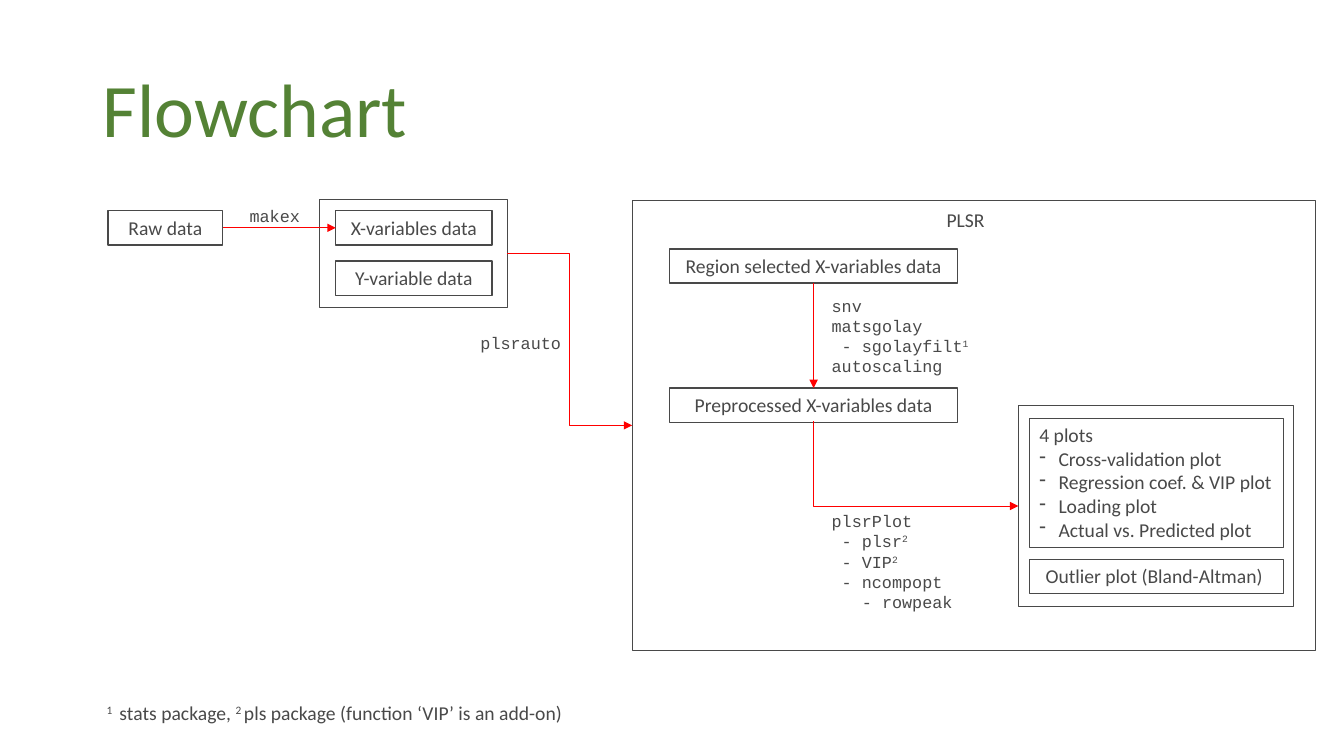
from lxml import etree
from pptx import Presentation
from pptx import util as u
from pptx.dml.color import RGBColor
from pptx.enum import shapes, text
from pptx.oxml.ns import qn

COLORS = {"ink": "494949", "title": "548235", "arrow": "FF0000", "box": "FFFFFF"}
BODY, CODE = "Calibri", "Courier New"
LEFT, CENTER = text.PP_ALIGN.LEFT, text.PP_ALIGN.CENTER
ROW = 0.34  # height of a box with one line of text


def color(name):
    """Return the named colour."""
    return RGBColor.from_string(COLORS[name])


def inches(*values):
    """Convert numbers to lengths."""
    return [u.Inches(value) for value in values]


def write(shape, lines, font=BODY, size=14, ink="ink", align=LEFT,
          anchor=text.MSO_ANCHOR.TOP, grow=True, spacing=None):
    """Fill a shape with lines: (words, indent, bullet), or words alone.

    Every second piece between carets is superscript.
    """
    frame = shape.text_frame
    frame.word_wrap = True
    frame.vertical_anchor = anchor
    fit = text.MSO_AUTO_SIZE
    frame.auto_size = fit.SHAPE_TO_FIT_TEXT if grow else fit.NONE
    for index, line in enumerate(lines):
        words, indent, bullet = (line, 0, None) if isinstance(line, str) else line
        paragraph = frame.add_paragraph() if index else frame.paragraphs[0]
        paragraph.alignment = align
        if spacing:
            paragraph.line_spacing = spacing
        properties = paragraph._p.get_or_add_pPr()
        if indent:
            properties.set("marL", str(u.Inches(indent)))
        if bullet:
            properties.set("indent", str(-u.Inches(indent)))
            etree.SubElement(properties, qn("a:buChar"), char=bullet)
        for position, piece in enumerate(words.split("^")):
            if not piece:
                continue
            run = paragraph.add_run()
            run.text = piece
            run.font.name, run.font.size = font, u.Pt(size)
            run.font.color.rgb = color(ink)
            if position % 2:
                run.font._element.set("baseline", "30000")


class Flowchart:
    """Holds the slide and the style of its elements."""

    def __init__(self, slide):
        """Keep the slide to draw on."""
        self.shapes = slide.shapes

    def box(self, left, top, width, height=ROW, lines=(), line=1, fill="box",
            align=CENTER):
        """Add a rectangle; no line when line is None, no fill when fill is None."""
        shape = self.shapes.add_shape(shapes.MSO_SHAPE.RECTANGLE,
                                      *inches(left, top, width, height))
        shape.shadow.inherit = False
        if fill:
            shape.fill.solid()
            shape.fill.fore_color.rgb = color(fill)
        else:
            shape.fill.background()
        if line:
            shape.line.color.rgb = color("ink")
            shape.line.width = u.Pt(line)
        else:
            shape.line.fill.background()
        if lines:
            write(shape, lines, align=align)

    def frame(self, left, top, width, height):
        """Add a thin outline around a group of boxes."""
        self.box(left, top, width, height, line=0.25, fill=None)

    def label(self, left, top, width, height, lines, **style):
        """Add a text box."""
        shape = self.shapes.add_textbox(*inches(left, top, width, height))
        write(shape, lines, **style)

    def code(self, left, top, width, height, lines, align=LEFT):
        """Add a label with function names."""
        self.label(left, top, width, height, lines, font=CODE, size=12, align=align)

    def arrow(self, start, end, kind=shapes.MSO_CONNECTOR.STRAIGHT):
        """Add a connector with a triangle at its end."""
        connector = self.shapes.add_connector(kind, *inches(*start, *end))
        connector.line.color.rgb = color("arrow")
        connector.line.width = u.Pt(0.5)
        etree.SubElement(connector.line._get_or_add_ln(), qn("a:tailEnd"),
                         type="triangle")
        etree.SubElement(connector._element.spPr, qn("a:effectLst"))
        return connector

    def elbow(self, start, end):
        """Add an arrow that turns twice, halfway across."""
        self.arrow(start, end, shapes.MSO_CONNECTOR.ELBOW)

    def corner(self, start, end):
        """Add an arrow that goes down, then right: a mirrored, turned corner."""
        (left, top), (right, bottom) = start, end
        middle_x, middle_y = (left + right) / 2, (top + bottom) / 2
        half_width, half_height = (bottom - top) / 2, (right - left) / 2
        connector = self.arrow((middle_x + half_width, middle_y - half_height),
                               (middle_x - half_width, middle_y + half_height),
                               shapes.MSO_CONNECTOR.ELBOW)
        properties = connector._element.spPr
        properties.find(qn("a:xfrm")).set("rot", str(270 * 60000))
        properties.find(qn("a:prstGeom")).set("prst", "bentConnector2")


def main():
    """Build the slide and save it."""
    presentation = Presentation()
    presentation.slide_width, presentation.slide_height = inches(13.33, 7.5)
    slide = presentation.slides.add_slide(presentation.slide_layouts[6])
    chart = Flowchart(slide)

    chart.label(0.92, 0.4, 11.5, 1.45, ["Flowchart"], size=54, ink="title",
                anchor=text.MSO_ANCHOR.MIDDLE, grow=False, spacing=0.9)

    # Frames: input data, PLSR, plots
    chart.frame(3.17, 1.98, 1.86, 1.07)
    chart.frame(6.27, 1.99, 6.77, 4.46)
    chart.frame(10.1, 4.02, 2.73, 1.99)

    # Boxes
    for left, top, width, words in (
            (1.07, 2.09, 1.14, "Raw data"),
            (3.33, 2.09, 1.55, "X-variables data"),
            (3.33, 2.59, 1.55, "Y-variable data"),
            (6.64, 2.47, 2.86, "Region selected X-variables data"),
            (6.64, 3.85, 2.86, "Preprocessed X-variables data"),
            (10.21, 5.55, 2.52, "Outlier plot (Bland-Altman) ")):
        chart.box(left, top, width, lines=[words])
    chart.box(9.29, 2.01, 0.73, lines=["PLSR"], line=None, align=LEFT)
    plots = ("Cross-validation plot", "Regression coef. & VIP plot",
             "Loading plot", "Actual vs. Predicted plot")
    chart.box(10.21, 4.15, 2.52, 1.28, align=LEFT,
              lines=["4 plots"] + [(plot, 0.19, "-") for plot in plots])

    # Arrows
    chart.arrow((2.21, 2.26), (3.33, 2.26))
    chart.arrow((8.07, 2.81), (8.07, 3.85))
    chart.elbow((5.03, 2.51), (6.27, 4.22))
    chart.corner((8.07, 4.18), (10.1, 5.02))

    # Functions beside the arrows
    chart.code(2.28, 1.99, 0.89, 0.3, ["makex"], align=CENTER)
    chart.code(4.56, 3.25, 1.21, 0.3, ["plsrauto"], align=CENTER)
    chart.code(8.15, 2.88, 1.71, 0.91, [
        "snv", "matsgolay", ("- sgolayfilt^1", 0.1, None), "autoscaling"])
    chart.code(8.15, 5.02, 2, 1.11, [
        "plsrPlot", ("- plsr^2", 0.1, None), ("- VIP^2", 0.1, None),
        ("- ncompopt", 0.1, None), ("- rowpeak", 0.3, None)])

    chart.label(0.96, 6.9, 4.81, ROW, [
        "^1 ^ stats package, ^2 ^pls package (function ‘VIP’ is an add-on) "])

    presentation.save("out.pptx")


main()
